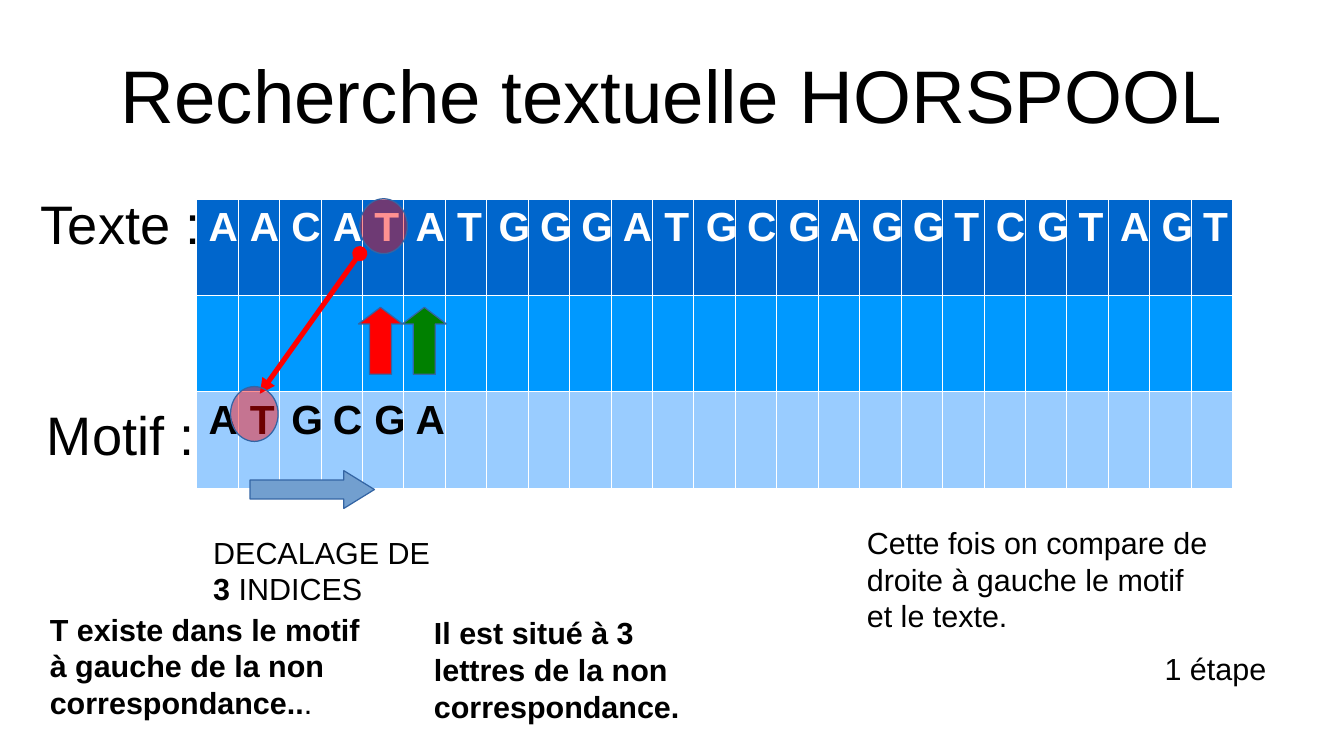
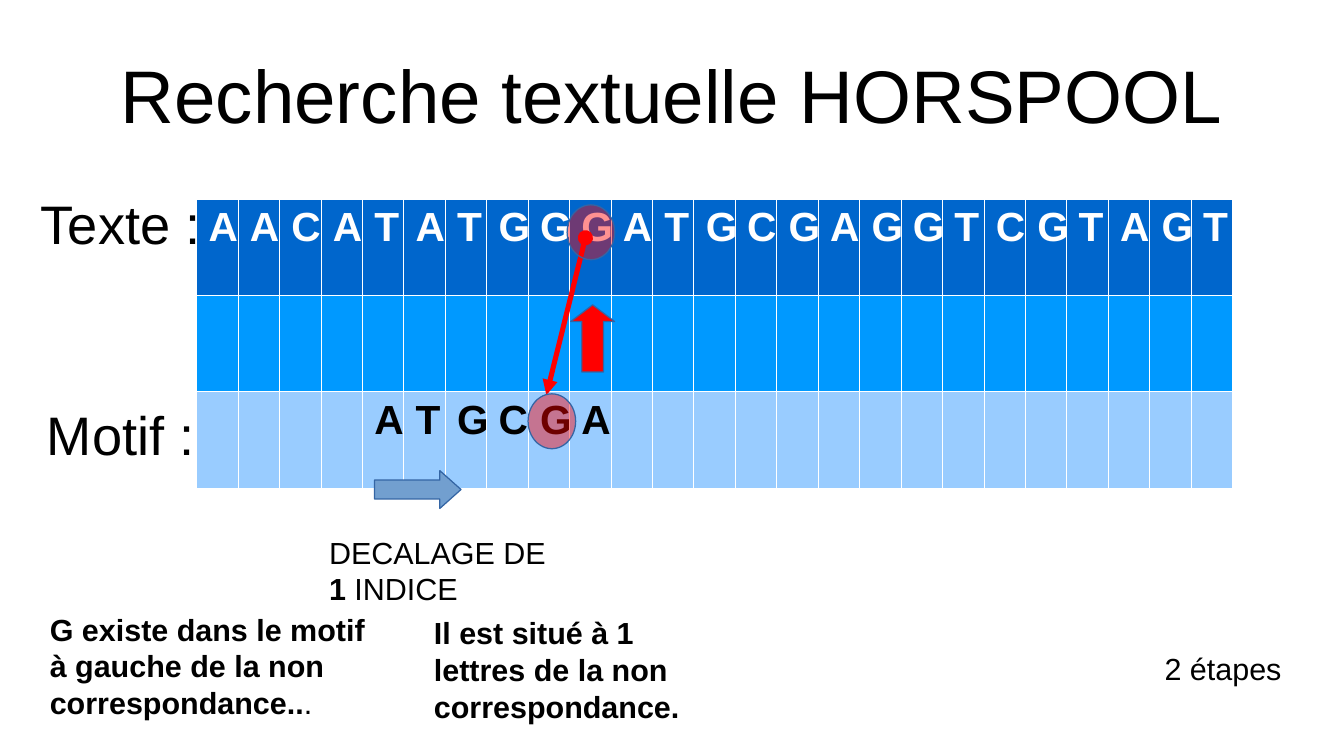
from lxml.etree import SubElement
from pptx import Presentation
from pptx.dml.color import RGBColor
from pptx.enum.shapes import MSO_CONNECTOR as Connector, MSO_SHAPE as Shape
from pptx.enum.text import MSO_ANCHOR as Anchor, PP_ALIGN as Align
from pptx.oxml.ns import qn
from pptx.util import Inches, Pt

FONT = "Arial"
BLACK, WHITE, RED, GREEN = "000000", "FFFFFF", "FF0000", "008000"
OUTLINE, SHIFT_BLUE = "3465A4", "729FCF"
ROW_FILLS = ["0066CC", "0099FF", "99CCFF"]
ROW_INKS = [WHITE, BLACK, BLACK]
SEQUENCE = "AACATATGGGATGCGAGGTCGTAGT"
PATTERN = "ATGCGA"
COLUMN_WIDTH, ROW_HEIGHT = 0.34, 0.79
MARK_SIZE = (0.39, 0.45)

# Arrows: left, top, colour. Marks: left, top. Shift: left, width, head ratio.
STEPS = [
    dict(offset=0, letter="T", distance="3", unit=" INDICES", count="1 étape",
         arrows=[(3.3, 2.52, GREEN), (2.94, 2.52, RED)],
         marks=[(2.95, 1.63), (1.89, 3.17)],
         link=(2.95, 2.08, 2.13, 3.23), shift=(2.05, 1.02, 0.81), caption_left=1.65,
         remark="Cette fois on compare de droite à gauche le motif et le texte."),
    dict(offset=4, letter="G", distance="1", unit=" INDICE", count="2 étapes",
         arrows=[(4.68, 2.5, RED)],
         marks=[(4.65, 1.68), (4.33, 3.23)],
         link=(4.8, 1.95, 4.48, 3.24), shift=(3.07, 0.71, 0.56), caption_left=2.6,
         remark=None),
]


def add_text(page, area, runs, size=18, heading=False):
    """Write (text, bold) runs; a heading is centred both ways without insets."""
    frame = page.shapes.add_textbox(*map(Inches, area)).text_frame
    frame.word_wrap = True
    para = frame.paragraphs[0]
    if heading:
        frame.margin_left = frame.margin_right = frame.margin_top = frame.margin_bottom = 0
        frame.vertical_anchor = Anchor.MIDDLE
        para.alignment = Align.CENTER
    for text, bold in runs:
        span = para.add_run()
        span.text = text
        span.font.name, span.font.size, span.font.bold = FONT, Pt(size), bold
        span.font.color.rgb = RGBColor.from_string(BLACK)


def add_figure(page, kind, area, colour, head=None):
    """Draw a filled preset shape; head is the arrowhead ratio."""
    figure = page.shapes.add_shape(kind, *map(Inches, area))
    figure.shadow.inherit = False
    figure.fill.solid()
    figure.fill.fore_color.rgb = RGBColor.from_string(colour)
    figure.line.color.rgb = RGBColor.from_string(OUTLINE)
    figure.line.width = Pt(0)
    if head:
        figure.adjustments[1] = head
    return figure


deck = Presentation()
deck.slide_width, deck.slide_height = Inches(11.02), Inches(6.2)

for step in STEPS:
    page = deck.slides.add_slide(deck.slide_layouts[6])
    add_text(page, (0.55, 0.25, 9.92, 1.04), [("Recherche textuelle HORSPOOL", False)], 44, True)
    for label, top in [("Texte :", 1.45), ("Motif :", 3.18)]:
        add_text(page, (0.24, top, 1.5, 0.75), [(label, False)], 32, True)

    # Alignment grid
    rows = [SEQUENCE, "", " " * step["offset"] + PATTERN]
    columns = len(SEQUENCE)
    table = page.shapes.add_table(
        len(rows), columns, Inches(1.61), Inches(1.63),
        Inches(COLUMN_WIDTH * columns), Inches(ROW_HEIGHT * len(rows))).table
    table.first_row = table.horz_banding = False
    for column in table.columns:
        column.width = Inches(COLUMN_WIDTH)
    for index, letters in enumerate(rows):
        table.rows[index].height = Inches(ROW_HEIGHT)
        for position, letter in enumerate(letters.ljust(columns)):
            cell = table.cell(index, position)
            properties = cell._tc.get_or_add_tcPr()
            for side in ("lnL", "lnR", "lnT", "lnB"):
                border = SubElement(properties, qn(f"a:{side}"), w=str(Pt(0.06)))
                SubElement(SubElement(border, qn("a:solidFill")), qn("a:srgbClr"), val=WHITE)
            cell.fill.solid()
            cell.fill.fore_color.rgb = RGBColor.from_string(ROW_FILLS[index])
            if letter != " ":
                para = cell.text_frame.paragraphs[0]
                para.alignment = Align.CENTER
                span = para.add_run()
                span.text = letter
                span.font.name, span.font.size, span.font.bold = FONT, Pt(24), True
                span.font.color.rgb = RGBColor.from_string(ROW_INKS[index])

    # Comparison arrows and shift arrow
    for left, top, colour in step["arrows"]:
        add_figure(page, Shape.UP_ARROW, (left, top, 0.36, 0.55), colour, 0.38)
    left, width, head = step["shift"]
    add_figure(page, Shape.RIGHT_ARROW, (left, 3.86, width, 0.31), SHIFT_BLUE, head)

    # Link between the two matching letters
    link = page.shapes.add_connector(Connector.STRAIGHT, *map(Inches, step["link"]))
    link.line.color.rgb = RGBColor.from_string(RED)
    link.line.width = Pt(3)
    properties = link._element.spPr
    stroke = properties.find(qn("a:ln"))
    SubElement(stroke, qn("a:headEnd"), type="oval")
    SubElement(stroke, qn("a:tailEnd"), type="triangle")
    SubElement(properties, qn("a:effectLst"))

    for corner in step["marks"]:
        mark = add_figure(page, Shape.OVAL, corner + MARK_SIZE, RED)
        tint = mark._element.spPr.find(qn("a:solidFill"))[0]
        SubElement(tint, qn("a:alpha"), val="43000")

    # Explanations
    add_text(page, (step["caption_left"], 4.33, 2.06, 0.66),
             [("DECALAGE DE ", False), (step["distance"], True), (step["unit"], False)])
    add_text(page, (0.31, 4.96, 2.91, 0.94),
             [(f"{step['letter']} existe dans le motif à gauche de la non correspondance..", True),
              (".", False)])
    add_text(page, (3.46, 4.99, 2.6, 0.94),
             [(f"Il est situé à {step['distance']} lettres de la non correspondance.", True)])
    if step["remark"]:
        add_text(page, (7.01, 4.25, 3.07, 0.94), [(step["remark"], False)])
    add_text(page, (9.45, 5.28, 1.42, 0.39), [(step["count"], False)])

deck.save("out.pptx")
